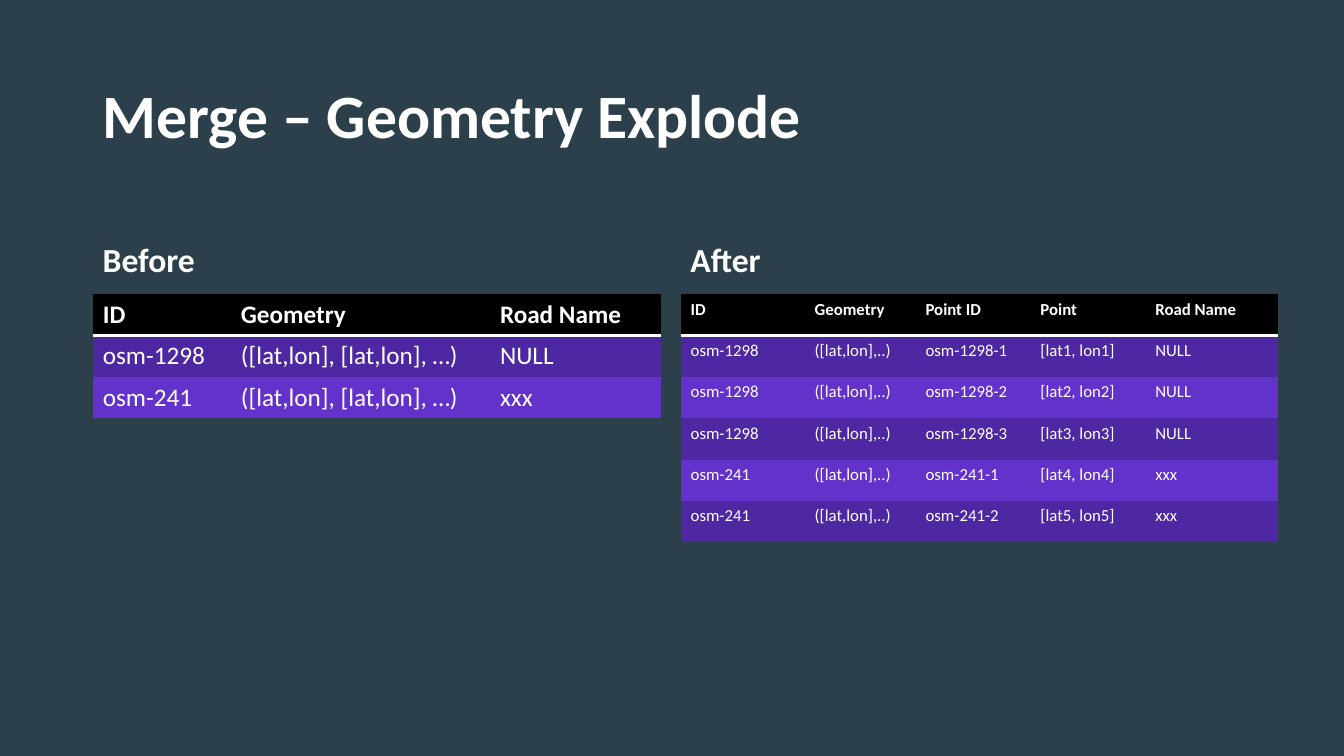
import dataclasses

import pptx
import pptx.dml.color
import pptx.enum.text
import pptx.oxml
import pptx.oxml.ns
import pptx.util

Inches = pptx.util.Inches
Pt = pptx.util.Pt
Anchor = pptx.enum.text.MSO_ANCHOR


@dataclasses.dataclass
class Theme:
    font: str = "Calibri"
    back: str = "2B404B"
    text: str = "FFFFFF"
    head: str = "000000"
    bands: tuple = ("4E28A2", "6232CA")
    title: int = 44
    label: int = 24
    large: int = 18
    small: int = 12
    rule: int = 2
    plain: str = "{2D5ABB26-0587-4C30-8999-92F81FD0307C}"


class Deck:
    def __init__(self, theme):
        self.theme = theme
        self.show = pptx.Presentation()
        self.show.slide_width = Inches(13.33)
        self.show.slide_height = Inches(7.5)
        self.slide = self.show.slides.add_slide(self.show.slide_layouts[6])
        self.paint(self.slide.background.fill, theme.back)

    def paint(self, fill, color):
        fill.solid()
        fill.fore_color.rgb = pptx.dml.color.RGBColor.from_string(color)

    def style(self, frame, size, bold):
        for run in frame.paragraphs[0].runs:
            run.font.name = self.theme.font
            run.font.size = Pt(size)
            run.font.bold = bold
            self.paint(run.font.fill, self.theme.text)

    def text(self, words, left, top, width, height, size, anchor):
        box = self.slide.shapes.add_textbox(
            Inches(left), Inches(top), Inches(width), Inches(height))
        frame = box.text_frame
        frame.word_wrap = True
        frame.vertical_anchor = anchor
        frame.text = words
        self.style(frame, size, True)
        return frame.paragraphs[0]

    def label(self, words, left, top, width, height):
        para = self.text(words, left, top, width, height,
                         self.theme.label, Anchor.BOTTOM)
        para.line_spacing = 1.1
        para.space_before = Pt(10)

    def rule(self, cell):
        line = pptx.oxml.parse_xml(
            f'<a:lnB {pptx.oxml.ns.nsdecls("a")} w="{Pt(self.theme.rule)}">'
            f'<a:solidFill><a:srgbClr val="{self.theme.text}"/></a:solidFill>'
            '</a:lnB>')
        cell._tc.get_or_add_tcPr().insert(0, line)

    def table(self, rows, left, top, widths, height, size):
        shape = self.slide.shapes.add_table(
            len(rows), len(widths), Inches(left), Inches(top),
            Inches(sum(widths)), Inches(height * len(rows)))
        grid = shape.table
        grid.horz_banding = False
        grid._tbl.tblPr.find(
            pptx.oxml.ns.qn("a:tableStyleId")).text = self.theme.plain
        for col, width in zip(grid.columns, widths):
            col.width = Inches(width)
        for r, row in enumerate(rows):
            grid.rows[r].height = Inches(height)
            color = self.theme.bands[(r - 1) % 2] if r else self.theme.head
            for c, words in enumerate(row):
                cell = grid.cell(r, c)
                cell.text_frame.text = words
                self.style(cell.text_frame, size, r == 0)
                self.paint(cell.fill, color)
                if r == 0:
                    self.rule(cell)


def main():
    theme = Theme()
    deck = Deck(theme)
    deck.text("Merge – Geometry Explode", 0.92, 0.4, 11.5, 1.45,
              theme.title, Anchor.MIDDLE)

    roads = [("osm-1298", "NULL", 3), ("osm-241", "xxx", 2)]
    before = [("ID", "Geometry", "Road Name")]
    after = [("ID", "Geometry", "Point ID", "Point", "Road Name")]
    for key, name, count in roads:
        before.append((key, "([lat,lon], [lat,lon], …)", name))
        for part in range(1, count + 1):
            n = len(after)
            after.append((key, "([lat,lon],..)", f"{key}-{part}",
                          f"[lat{n}, lon{n}]", name))

    sides = [
        ("Before", 0.92, before, (1.37, 2.57, 1.7), theme.large),
        ("After", 6.75, after, (1.23, 1.1, 1.14, 1.14, 1.32), theme.small),
    ]
    for name, left, rows, widths, size in sides:
        deck.label(name, left, 1.92, 5.65, 0.9)
        deck.table(rows, left, 2.92, widths, 0.41, size)
    deck.show.save("out.pptx")


if __name__ == "__main__":
    main()
